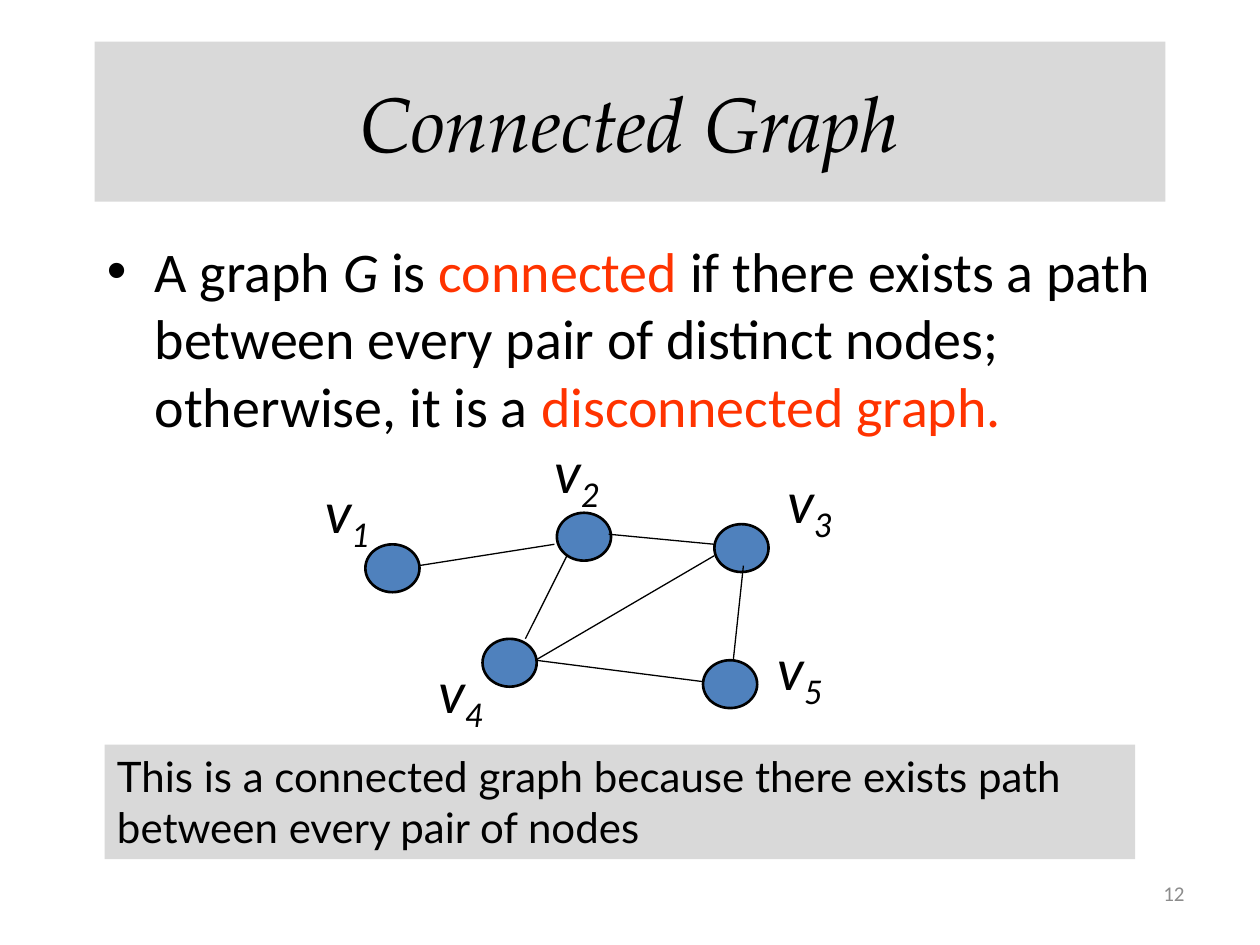
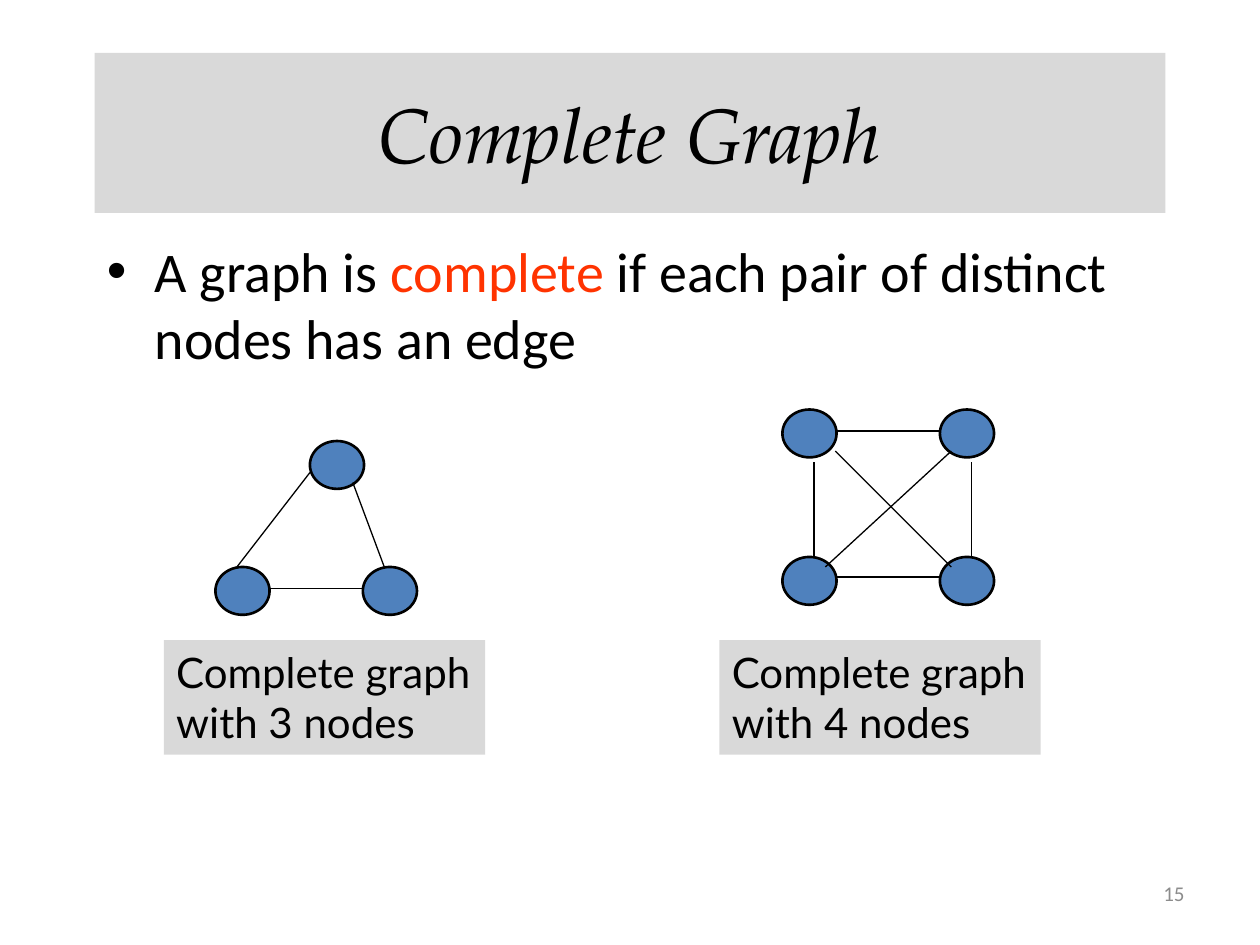
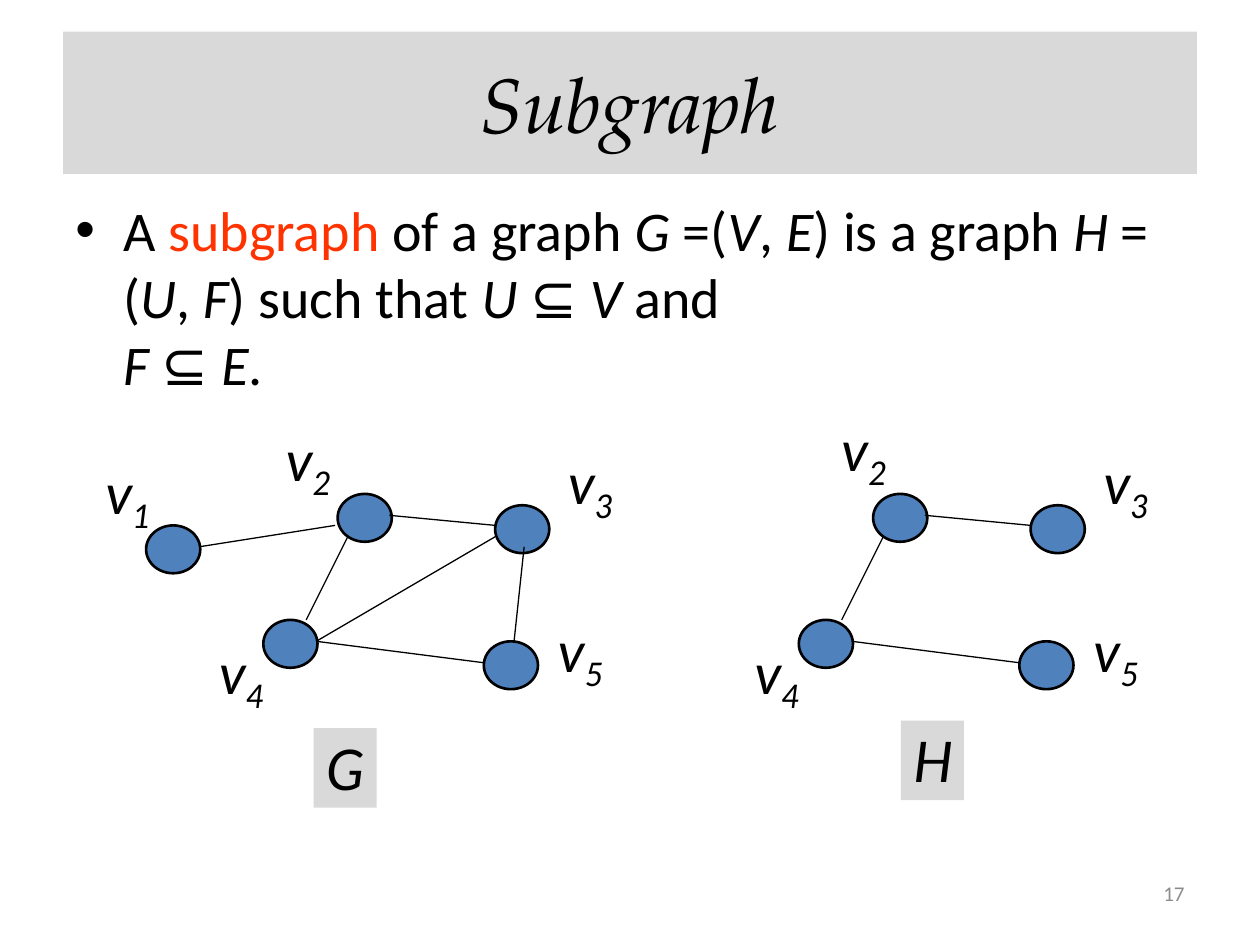
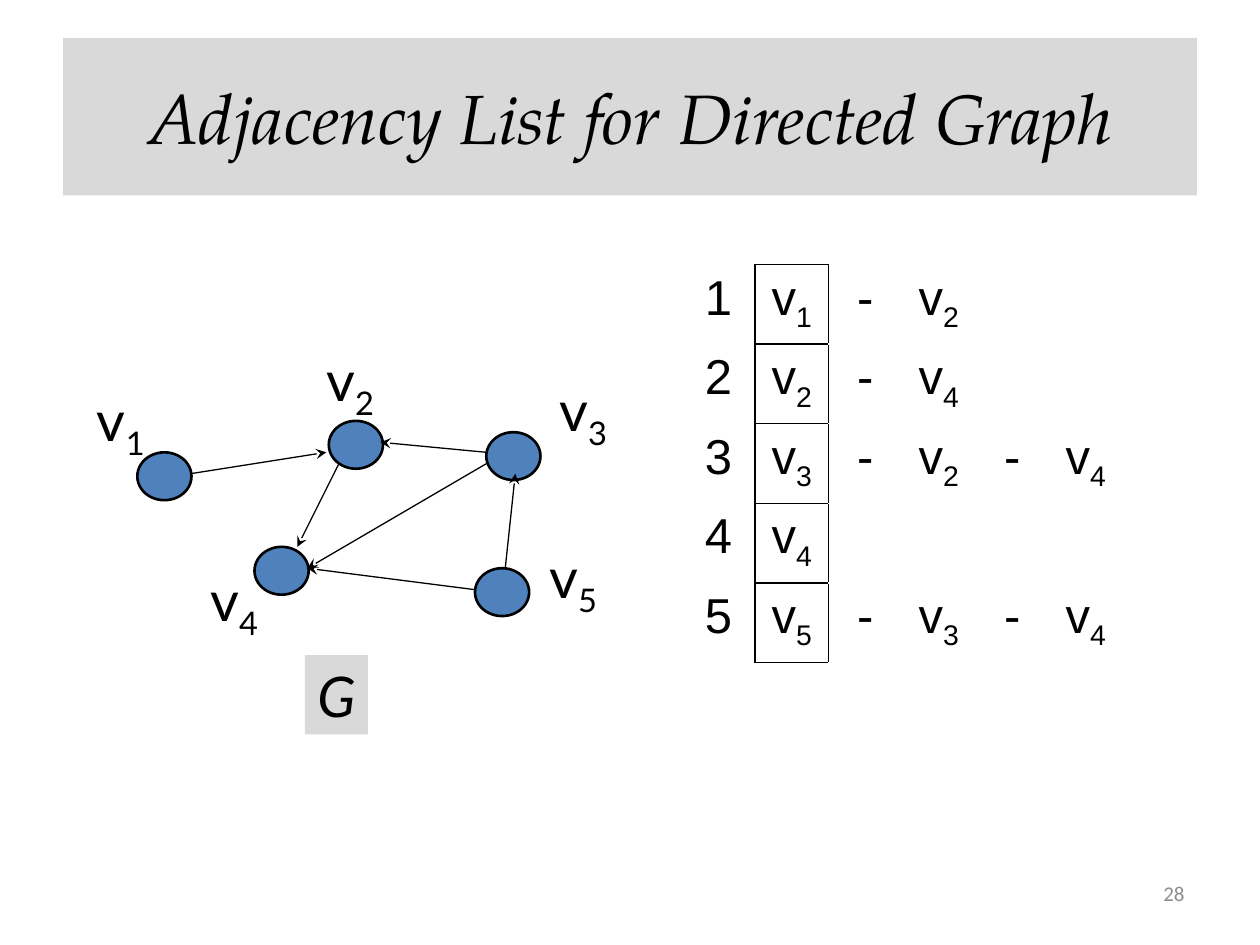
"""Build four slides on connected, complete, sub- and directed graphs."""
from lxml.etree import SubElement
from pptx import Presentation
from pptx.dml.color import RGBColor
from pptx.enum.shapes import MSO_CONNECTOR, MSO_SHAPE
from pptx.enum.text import MSO_ANCHOR, MSO_AUTO_SIZE, PP_ALIGN
from pptx.oxml.ns import qn
from pptx.util import Inches, Pt

rgb = RGBColor.from_string
BLACK, RED, GREY, BLUE, NUMBER_GREY = "000000", "FF3300", "D9D9D9", "4F81BD", "8C8C8C"
TITLE_FONT, BODY_FONT, LABEL_FONT, TABLE_FONT = "TeX Gyre Pagella", "Calibri", "Lato", "Arial"
NODE_WIDTH, NODE_HEIGHT = 0.43, 0.38


def write(paragraph, pieces, font, size, color=BLACK):
    """Add (text, style) pieces; styles: i italic, r red, s subscript."""
    for text, style in pieces:
        if text == "\n":
            paragraph.add_line_break()
            continue
        run = paragraph.add_run()
        run.text = text
        run.font.name, run.font.size = font, Pt(size)
        run.font.italic = "i" in style
        run.font.color.rgb = rgb(RED if "r" in style else color)
        if "s" in style:
            run.font._element.set("baseline", "-25000")


def add_frame(shapes, left, top, width, height, wrap=True, fill=None):
    """Add a text box, filled if a colour is given, and return its text frame."""
    box = shapes.add_textbox(Inches(left), Inches(top), Inches(width), Inches(height))
    if fill:
        box.fill.solid()
        box.fill.fore_color.rgb = rgb(fill)
    box.text_frame.word_wrap = wrap
    return box.text_frame


prs = Presentation()
prs.slide_width, prs.slide_height = Inches(10), Inches(7.5)

connected_text = [
    ("A graph ", ""), ("G", "i"), (" is ", ""), ("connected", "r"),
    (" if there exists a path between every pair of distinct nodes; otherwise, it is a ", ""),
    ("disconnected graph.", "r"),
]
complete_text = [
    ("A graph is ", ""), ("complete", "r"),
    (" if each pair of distinct nodes has an edge", ""),
]
subgraph_text = [
    ("A ", ""), ("subgraph", "r"), (" of a graph ", ""), ("G", "i"), (" =(", ""),
    ("V", "i"), (", ", ""), ("E", "i"), (") is a graph ", ""), ("H", "i"), (" = (", ""),
    ("U", "i"), (", ", ""), ("F", "i"), (") such that ", ""), ("U ", "i"), ("⊆ ", ""),
    ("V", "i"), (" and ", ""), ("\n", ""), ("F", "i"), (" ⊆ ", ""), ("E", "i"), (".", ""),
]
pages = [
    ("Connected Graph", 44, (0.75, 0.33, 8.5, 1.27), "12", (0.75, 1.83, 8.5, 5), connected_text),
    ("Complete Graph", 44, (0.75, 0.42, 8.5, 1.27), "15", (0.75, 1.83, 8.5, 5), complete_text),
    ("Subgraph", 44, (0.5, 0.25, 9, 1.13), "17", (0.5, 1.5, 9, 5.2), subgraph_text),
    ("Adjacency List for Directed Graph", 40, (0.5, 0.3, 9, 1.25), "28", None, None),
]
slides = []
for heading, heading_size, band, page_number, body_area, definition in pages:
    slide = prs.slides.add_slide(prs.slide_layouts[5])
    slides.append(slide)
    title = slide.shapes.title
    title.left, title.top, title.width, title.height = [Inches(value) for value in band]
    title.fill.solid()
    title.fill.fore_color.rgb = rgb(GREY)
    title.text_frame.vertical_anchor = MSO_ANCHOR.MIDDLE
    title.text_frame.paragraphs[0].alignment = PP_ALIGN.CENTER
    write(title.text_frame.paragraphs[0], [(heading, "i")], TITLE_FONT, heading_size)

    footer = add_frame(slide.shapes, 7.17, 6.83, 2.33, 0.52)
    footer.vertical_anchor = MSO_ANCHOR.MIDDLE
    footer.paragraphs[0].alignment = PP_ALIGN.RIGHT
    write(footer.paragraphs[0], [(page_number, "")], BODY_FONT, 12, NUMBER_GREY)

    if definition:
        bullet = add_frame(slide.shapes, *body_area).paragraphs[0]
        properties = bullet._p.get_or_add_pPr()
        properties.set("marL", str(Inches(0.38)))
        properties.set("indent", str(-Inches(0.38)))
        SubElement(properties, qn("a:buFont")).set("typeface", TABLE_FONT)
        SubElement(properties, qn("a:buChar")).set("char", "•")
        write(bullet, definition, BODY_FONT, 32)

five_nodes = {1: (0, 0), 2: (1.52, -0.25), 3: (2.77, -0.16), 4: (0.93, 0.75), 5: (2.68, 0.92)}
five_edges = {
    (3, 2): (2.77, 0, 1.93, -0.08),
    (5, 4): (2.68, 1.09, 1.35, 0.92),
    (3, 4): (2.77, 0.09, 1.35, 0.92),
    (2, 4): (1.6, 0.09, 1.27, 0.75),
    (1, 2): (0.42, 0.17, 1.5, 0),
    (5, 3): (2.92, 0.92, 3, 0.17),
}
five_labels = {1: (-0.42, -0.58), 2: (1.4, -0.9), 3: (3.25, -0.66), 4: (0.48, 0.85), 5: (3.17, 0.67)}
sub_nodes = {node: five_nodes[node] for node in (2, 3, 4, 5)}
sub_edges = {pair: five_edges[pair] for pair in ((3, 2), (5, 4), (2, 4))}
sub_labels = {node: five_labels[node] for node in sub_nodes}
triangle_nodes = {1: (0.75, 0), 2: (0, 1), 3: (1.17, 1)}
triangle_edges = {
    (2, 3): (0.42, 1.17, 1.17, 1.17),
    (2, 1): (0.17, 1, 0.75, 0.25),
    (3, 1): (1.34, 1, 1.09, 0.33),
}
square_nodes = {1: (0, 0), 2: (1.25, 0), 3: (0, 1.17), 4: (1.25, 1.17)}
square_edges = {
    (1, 3): (0.25, 0.42, 0.25, 1.17),
    (1, 2): (0.42, 0.17, 1.25, 0.17),
    (2, 4): (1.5, 0.42, 1.5, 1.17),
    (3, 4): (0.42, 1.33, 1.25, 1.33),
    (1, 4): (0.42, 0.33, 1.34, 1.25),
    (3, 2): (0.34, 1.25, 1.34, 0.33),
}
graphs = [
    (0, (2.9, 4.32), five_nodes, five_edges, five_labels, False),
    (1, (1.71, 3.5), triangle_nodes, triangle_edges, {}, False),
    (1, (6.21, 3.25), square_nodes, square_edges, {}, False),
    (2, (1.16, 4.17), five_nodes, five_edges, {**five_labels, 2: (1.01, -0.84)}, False),
    (2, (5.41, 4.17), sub_nodes, sub_edges, {**sub_labels, 2: (1.17, -0.92)}, False),
    (3, (1.09, 3.59), five_nodes, five_edges, five_labels, True),
]
for index, (x, y), nodes, edges, labels, directed in graphs:
    shapes = slides[index].shapes
    if directed:
        shapes = shapes.add_group_shape().shapes
    for dx, dy in nodes.values():
        node = shapes.add_shape(MSO_SHAPE.OVAL, Inches(x + dx), Inches(y + dy),
                                Inches(NODE_WIDTH), Inches(NODE_HEIGHT))
        node.shadow.inherit = False
        node.fill.solid()
        node.fill.fore_color.rgb = rgb(BLUE)
        node.line.color.rgb = rgb(BLACK)
        node.line.width = Pt(1.5)
    for x1, y1, x2, y2 in edges.values():
        edge = shapes.add_connector(MSO_CONNECTOR.STRAIGHT, Inches(x + x1), Inches(y + y1),
                                    Inches(x + x2), Inches(y + y2))
        edge.line.color.rgb = rgb(BLACK)
        edge.line.width = Pt(0.75)
        edge_properties = edge._element.spPr
        if directed:
            SubElement(edge_properties.find(qn("a:ln")), qn("a:tailEnd")).set("type", "stealth")
        SubElement(edge_properties, qn("a:effectLst"))
    for number, (dx, dy) in labels.items():
        label = add_frame(shapes, x + dx, y + dy, 0.59, 0.64, wrap=False)
        label.auto_size = MSO_AUTO_SIZE.SHAPE_TO_FIT_TEXT
        slant = "" if directed else "i"
        write(label.paragraphs[0], [("v", slant), (str(number), slant + "s")], LABEL_FONT, 32)

captions = [
    (0, (0.83, 5.91, 8.18, 0.91), True, 24, "",
     ["This is a connected graph because there exists path between every pair of nodes"]),
    (1, (1.3, 5.08, 2.55, 0.91), False, 24, "", ["Complete graph", "with 3 nodes"]),
    (1, (5.71, 5.08, 2.55, 0.91), False, 24, "", ["Complete graph", "with 4 nodes"]),
    (2, (2.49, 5.78, 0.5, 0.63), False, 32, "i", ["G"]),
    (2, (7.15, 5.72, 0.5, 0.63), False, 32, "i", ["H"]),
    (3, (2.42, 5.2, 0.5, 0.63), False, 32, "i", ["G"]),
]
for index, area, wrap, size, style, lines in captions:
    caption = add_frame(slides[index].shapes, *area, wrap=wrap, fill=GREY)
    caption.auto_size = MSO_AUTO_SIZE.SHAPE_TO_FIT_TEXT
    for position, line in enumerate(lines):
        paragraph = caption.add_paragraph() if position else caption.paragraphs[0]
        write(paragraph, [(line, style)], LABEL_FONT, size)

adjacency = {1: [2], 2: [4], 3: [2, 4], 4: [], 5: [3, 4]}
borders = {0: "R", 1: "LRTB", 2: "L"}
adjacency_table = slides[3].shapes.add_table(
    len(adjacency), 6, Inches(5.41), Inches(2.1), Inches(3.5), Inches(3.11)).table
adjacency_table.first_row = adjacency_table.horz_banding = False
for row, (vertex, neighbours) in enumerate(adjacency.items()):
    entries = [[(str(vertex), "")], [("v", ""), (str(vertex), "s")]]
    for neighbour in neighbours:
        entries += [[("-", "")], [("v", ""), (str(neighbour), "s")]]
    for column in range(6):
        cell = adjacency_table.cell(row, column)
        for side in borders.get(column, ""):
            border = SubElement(cell._tc.get_or_add_tcPr(), qn("a:ln" + side), w=str(Pt(1)))
            SubElement(SubElement(border, qn("a:solidFill")), qn("a:srgbClr")).set("val", BLACK)
        cell.fill.background()
        if column < len(entries):
            entry = cell.text_frame.paragraphs[0]
            entry.alignment = PP_ALIGN.CENTER
            write(entry, entries[column], TABLE_FONT, 28)

prs.save("out.pptx")
